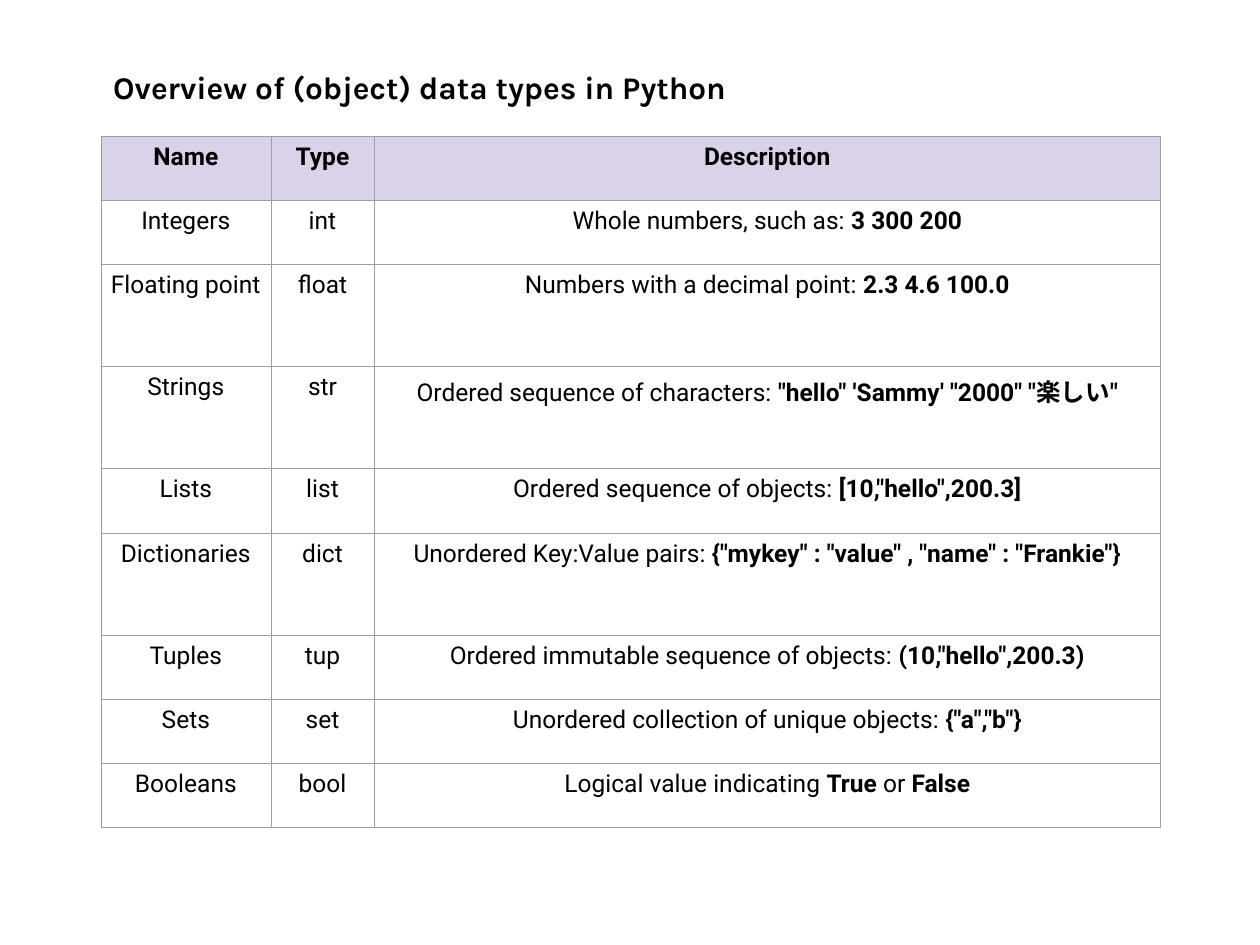
from lxml.etree import SubElement
from pptx import Presentation
from pptx.dml.color import RGBColor
from pptx.enum.text import MSO_AUTO_SIZE, PP_ALIGN
from pptx.oxml.ns import qn
from pptx.util import Inches, Pt

COLORS = {"text": "000000", "header": "D9D2E9", "border": "9E9E9E"}
TITLE_FORMAT = {"name": "Karla", "size": Pt(18), "bold": True}
CELL_FORMAT = {"name": "Roboto", "size": Pt(14)}
CELL_MARGINS = {"margin_left": Inches(0.08), "margin_right": Inches(0.08),
                "margin_top": Inches(0.05), "margin_bottom": Inches(0.05)}
BORDER_WIDTH = Pt(0.28)
COLUMN_WIDTHS = [1.35, 0.82, 6.24]
SINGLE_ROW, TALL_ROW = 0.51, 0.81
TALL_TYPES = {"float", "str", "dict"}
WIDE_GAP, GAP = " ", " "

HEADINGS = ["Name", "Type", "Description"]
DATA_TYPES = [
    ("Integers", "int",
     ["Whole numbers, such as:" + WIDE_GAP, WIDE_GAP.join(["3", "300", "200"])]),
    ("Floating point", "float",
     ["Numbers with a decimal point:" + WIDE_GAP, WIDE_GAP.join(["2.3", "4.6", "100.0"])]),
    ("Strings", "str",
     ["Ordered sequence of characters:" + GAP,
      GAP.join(['"hello"', "'Sammy'", '"2000"', '"楽しい"'])]),
    ("Lists", "list", ["Ordered sequence of objects:" + GAP, '[10,"hello",200.3]']),
    ("Dictionaries", "dict",
     ["Unordered Key:Value pairs:" + GAP, '{"mykey" : "value" , "name" : "Frankie"}']),
    ("Tuples", "tup", ["Ordered immutable sequence of objects: ", '(10,"hello",200.3)']),
    ("Sets", "set", ["Unordered collection of unique objects:" + GAP, '{"a","b"}']),
    ("Booleans", "bool", ["Logical value indicating ", "True ", "or ", "False"]),
]


def set_attributes(target, values):
    """Set each named attribute on the target."""
    for name, value in values.items():
        setattr(target, name, value)


def add_run(paragraph, text, font_format):
    """Append a formatted run of text."""
    run = paragraph.add_run()
    run.text = text
    set_attributes(run.font, font_format)
    run.font.color.rgb = RGBColor.from_string(COLORS["text"])


def add_borders(cell):
    """Draw a thin line on all four sides of a cell."""
    properties = cell._tc.get_or_add_tcPr()
    for position, side in enumerate(["lnL", "lnR", "lnT", "lnB"]):
        line = SubElement(properties, qn(f"a:{side}"), w=str(BORDER_WIDTH))
        fill = SubElement(line, qn("a:solidFill"))
        SubElement(fill, qn("a:srgbClr"), val=COLORS["border"])
        properties.insert(position, line)


def fill_cell(cell, parts, header=False):
    """Write centred parts, every second one bold, and style the cell."""
    set_attributes(cell, CELL_MARGINS)
    if header:
        cell.fill.solid()
        cell.fill.fore_color.rgb = RGBColor.from_string(COLORS["header"])
    else:
        cell.fill.background()
    add_borders(cell)
    paragraph = cell.text_frame.paragraphs[0]
    paragraph.alignment = PP_ALIGN.CENTER
    for index, part in enumerate(parts):
        add_run(paragraph, part, {**CELL_FORMAT, "bold": header or index % 2 == 1})


def add_title(slide, left, top, width, height):
    """Place the slide title in the given box."""
    title = slide.shapes.add_textbox(left, top, width, height)
    set_attributes(title.text_frame,
                   {"word_wrap": True, "auto_size": MSO_AUTO_SIZE.SHAPE_TO_FIT_TEXT})
    add_run(title.text_frame.paragraphs[0],
            "Overview of (object) data types in Python", TITLE_FORMAT)


def add_type_table(slide, left, top, width, height):
    """Place the table of data types in the given box."""
    table = slide.shapes.add_table(
        len(DATA_TYPES) + 1, len(HEADINGS), left, top, width, height).table
    set_attributes(table, {"first_row": False, "horz_banding": False})
    for column, share in zip(table.columns, COLUMN_WIDTHS):
        column.width = int(width * share / sum(COLUMN_WIDTHS))
    table.rows[0].height = Inches(SINGLE_ROW)
    for column, heading in enumerate(HEADINGS):
        fill_cell(table.cell(0, column), [heading], header=True)
    for row, (name, kind, description) in enumerate(DATA_TYPES, 1):
        table.rows[row].height = Inches(TALL_ROW if kind in TALL_TYPES else SINGLE_ROW)
        for column, parts in enumerate([[name], [kind], description]):
            fill_cell(table.cell(row, column), parts)


def main():
    """Build and save the slide."""
    presentation = Presentation()
    set_attributes(presentation, {"slide_width": Inches(10), "slide_height": Inches(7.5)})
    slide = presentation.slides.add_slide(presentation.slide_layouts[6])
    left, width = Inches(0.8), Inches(8.41)
    add_type_table(slide, left, Inches(1.08), width, Inches(5.5))
    add_title(slide, left, Inches(0.49), width, Inches(0.4))
    presentation.save("out.pptx")


if __name__ == "__main__":
    main()
